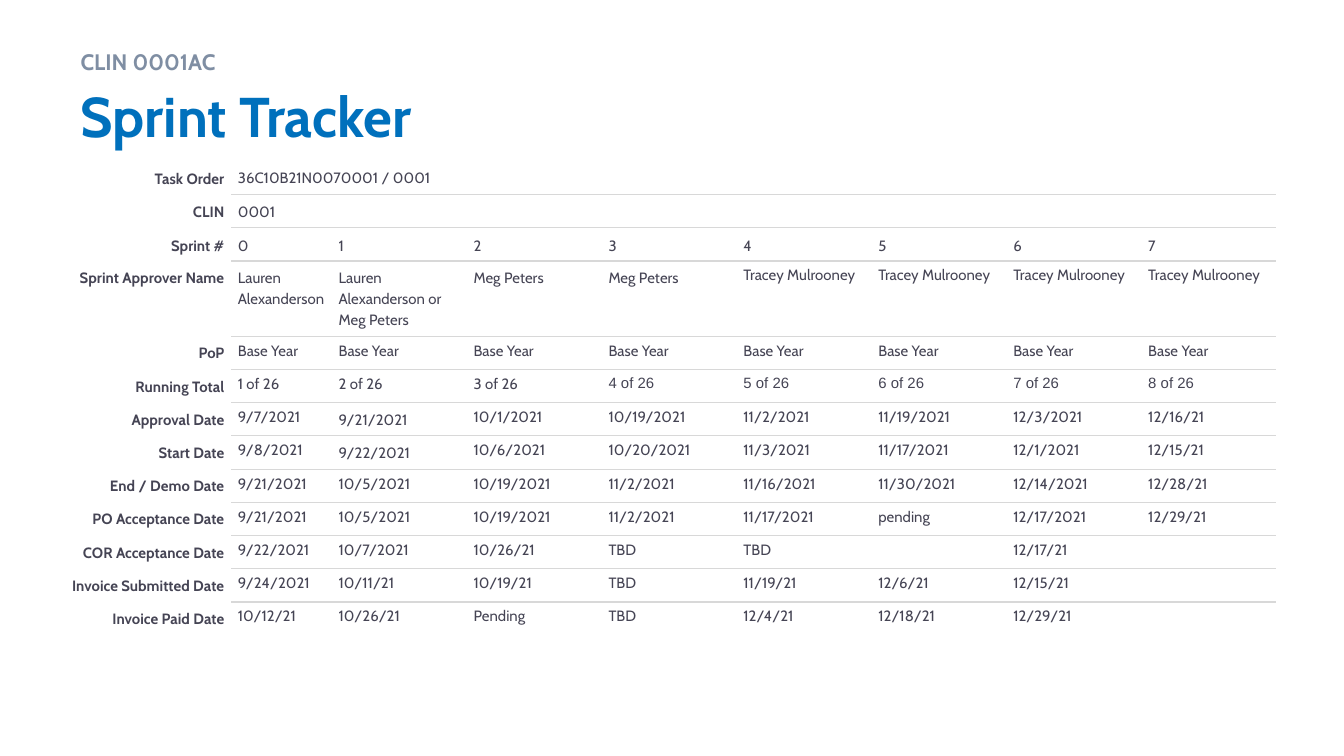
from dataclasses import dataclass

from lxml.etree import SubElement
from pptx import Presentation
from pptx.dml.color import RGBColor
from pptx.enum.text import MSO_ANCHOR, MSO_AUTO_SIZE, PP_ALIGN
from pptx.oxml import parse_xml
from pptx.oxml.ns import nsdecls, qn
from pptx.util import Inches, Pt


@dataclass(frozen=True)
class Theme:
    font: str = "Cabin"
    count_font: str = "Arial"
    heading: str = "0070BC"
    contract: str = "7F8EA3"
    text: str = "454454"
    rule: str = "D8D8D8"
    heading_size: int = 30
    contract_size: int = 12
    cell_size: int = 8
    rule_width: float = 0.75
    loose: float = 1.15


THEME = Theme()
NO_STYLE = "{2D5ABB26-0587-4C30-8999-92F81FD0307C}"

# Slide in widescreen format
SLIDE_WIDTH = 10
SLIDE_HEIGHT = SLIDE_WIDTH * 9 / 16

# Tracker content: a label, then one value per sprint
SPRINTS = 8
TRACKER = [
    ["Task Order", "36C10B21N0070001 / 0001"],
    ["CLIN", "0001"],
    ["Sprint #", *(str(number) for number in range(SPRINTS))],
    ["Sprint Approver Name", "Lauren Alexanderson", "Lauren Alexanderson or\nMeg Peters",
     *["Meg Peters"] * 2, *["Tracey Mulrooney"] * 4],
    ["PoP", *["Base Year"] * SPRINTS],
    ["Running Total", *(f"{number} of 26" for number in range(1, SPRINTS + 1))],
    ["Approval Date", "9/7/2021", "9/21/2021", "10/1/2021", "10/19/2021",
     "11/2/2021", "11/19/2021", "12/3/2021", "12/16/21"],
    ["Start Date", "9/8/2021", "9/22/2021", "10/6/2021", "10/20/2021",
     "11/3/2021", "11/17/2021", "12/1/2021", "12/15/21"],
    ["End / Demo Date", "9/21/2021", "10/5/2021", "10/19/2021", "11/2/2021",
     "11/16/2021", "11/30/2021", "12/14/2021", "12/28/21"],
    ["PO Acceptance Date", "9/21/2021", "10/5/2021", "10/19/2021", "11/2/2021",
     "11/17/2021", "pending", "12/17/2021", "12/29/21"],
    ["COR Acceptance Date", "9/22/2021", "10/7/2021", "10/26/21", "TBD", "TBD", "", "12/17/21"],
    ["Invoice Submitted Date", "9/24/2021", "10/11/21", "10/19/21", "TBD",
     "11/19/21", "12/6/21", "12/15/21"],
    ["Invoice Paid Date", "10/12/21", "10/26/21", "Pending", "TBD",
     "12/4/21", "12/18/21", "12/29/21"],
]
MERGED_ROWS = (0, 1)
HEADER_ROWS = (0, 1, 2)
APPROVER_ROW, TOTAL_ROW = 3, 5

# Values with looser line spacing, besides the labels
LOOSE_COLUMNS = {1: range(1, 9), 2: range(1, 9), APPROVER_ROW: range(1, 5), 6: [2], 7: [2]}

# Table grid in inches
TABLE_LEFT, TABLE_TOP, TABLE_WIDTH, TABLE_HEIGHT = 0.5, 1.2, 9, 3.53
LABEL_WIDTH, FIRST_SPRINT_WIDTH, APPROVER_HEIGHT = 1.22, 0.75, 0.56


def format_run(run, size, color, bold, font=THEME.font):
    run.font.name = font
    run.font.size = Pt(size)
    run.font.bold = bold
    run.font.color.rgb = RGBColor.from_string(color)


def fill_placeholder(placeholder, text, top, height, size, color, spacing=1.0):
    placeholder.left, placeholder.top = Inches(0.5), Inches(top)
    placeholder.width, placeholder.height = Inches(9), Inches(height)
    frame = placeholder.text_frame
    frame.text = text
    frame.word_wrap = True
    frame.auto_size = MSO_AUTO_SIZE.NONE
    frame.vertical_anchor = MSO_ANCHOR.TOP
    paragraph = frame.paragraphs[0]
    paragraph.alignment = PP_ALIGN.LEFT
    paragraph.line_spacing = spacing
    paragraph.space_before = Pt(0)
    run = paragraph.runs[0]
    format_run(run, size, color, True)
    run.font._element.set("cap", "none")


def add_bottom_rule(cell):
    rule = parse_xml(
        f'<a:lnB {nsdecls("a")} w="{Pt(THEME.rule_width)}"><a:solidFill>'
        f'<a:srgbClr val="{THEME.rule}"/></a:solidFill></a:lnB>')
    cell._tc.get_or_add_tcPr().insert(0, rule)


def fill_cell(cell, text, row, column):
    is_label = column == 0
    cell.fill.background()
    cell.margin_left = Inches(0 if is_label else 0.05)
    cell.margin_right = Inches(0.05)
    cell.margin_top = cell.margin_bottom = Inches(0.04)
    cell.vertical_anchor = MSO_ANCHOR.MIDDLE if row in HEADER_ROWS else MSO_ANCHOR.TOP
    cell.text_frame.text = text
    is_loose = is_label or column in LOOSE_COLUMNS.get(row, ())
    font = THEME.count_font if row == TOTAL_ROW and column >= 4 else THEME.font
    for paragraph in cell.text_frame.paragraphs:
        paragraph.alignment = PP_ALIGN.RIGHT if is_label else PP_ALIGN.LEFT
        paragraph.line_spacing = THEME.loose if is_loose else 1.0
        for run in paragraph.runs:
            format_run(run, THEME.cell_size, THEME.text, is_label, font)
        if not text:
            # Keeps an empty cell from stretching its row
            SubElement(paragraph._p, qn("a:endParaRPr"), sz=str(THEME.cell_size * 100))


def add_tracker(slide):
    tracker = slide.shapes.add_table(
        len(TRACKER), SPRINTS + 1, Inches(TABLE_LEFT), Inches(TABLE_TOP),
        Inches(TABLE_WIDTH), Inches(TABLE_HEIGHT)).table
    tracker.first_row = tracker.horz_banding = False
    tracker._tbl.tblPr.find(qn("a:tableStyleId")).text = NO_STYLE

    # Column widths and row heights
    sprint_width = (TABLE_WIDTH - LABEL_WIDTH - FIRST_SPRINT_WIDTH) / (SPRINTS - 1)
    widths = [LABEL_WIDTH, FIRST_SPRINT_WIDTH] + [sprint_width] * (SPRINTS - 1)
    for column, width in zip(tracker.columns, widths):
        column.width = Inches(width)
    row_height = (TABLE_HEIGHT - APPROVER_HEIGHT) / (len(TRACKER) - 1)
    for index, row in enumerate(tracker.rows):
        row.height = Inches(APPROVER_HEIGHT if index == APPROVER_ROW else row_height)

    # Cells, with a rule under every value except in the last row
    for row, entries in enumerate(TRACKER):
        padded = entries + [""] * (SPRINTS + 1 - len(entries))
        for column, text in enumerate(padded):
            cell = tracker.cell(row, column)
            fill_cell(cell, text, row, column)
            if column > 0 and row < len(TRACKER) - 1:
                add_bottom_rule(cell)
    for row in MERGED_ROWS:
        tracker.cell(row, 1).merge(tracker.cell(row, SPRINTS))


def main():
    deck = Presentation()
    deck.slide_width, deck.slide_height = Inches(SLIDE_WIDTH), Inches(SLIDE_HEIGHT)
    section_layout = deck.slide_layouts[2]
    slide = deck.slides.add_slide(section_layout)

    # Heading and contract line
    fill_placeholder(slide.shapes.title, "Sprint Tracker", 0.56, 0.69,
                     THEME.heading_size, THEME.heading)
    fill_placeholder(slide.placeholders[1], "CLIN 0001AC", 0.27, 0.29,
                     THEME.contract_size, THEME.contract, spacing=1.2)

    # Sprint table
    add_tracker(slide)
    deck.save("out.pptx")


if __name__ == "__main__":
    main()
